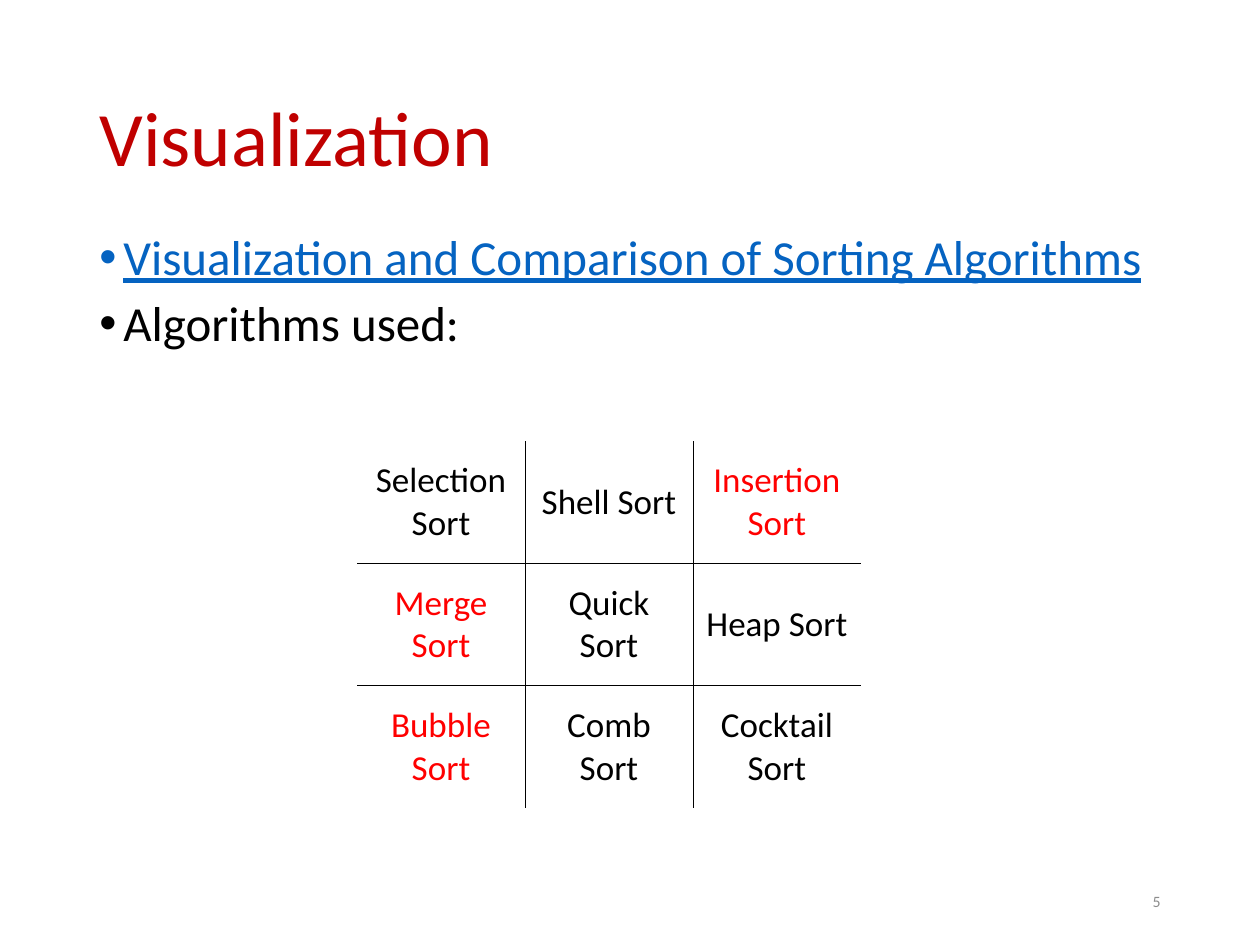
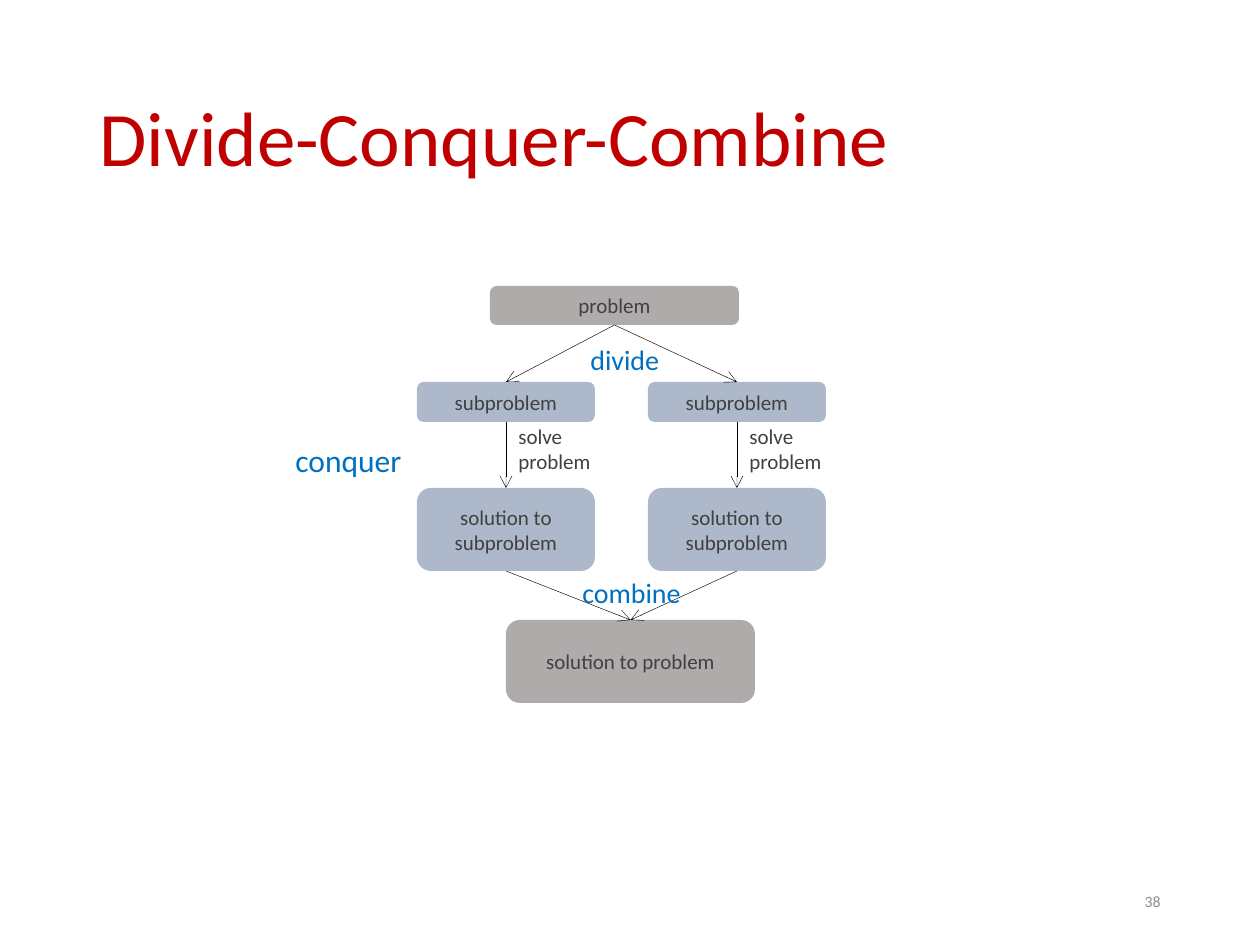
from lxml.etree import SubElement
from pptx import Presentation
from pptx.dml.color import RGBColor
from pptx.enum.shapes import MSO_CONNECTOR, MSO_SHAPE
from pptx.enum.text import MSO_ANCHOR, PP_ALIGN
from pptx.oxml.ns import qn
from pptx.util import Emu, Pt

# Shared look
PX = 914400 / 126
FONT = "Calibri"
BLACK, RED, TITLE_RED = "000000", "FF0000", "C00000"
LINK_BLUE, STEP_BLUE = "0563C1", "0070C0"
PROBLEM_GRAY, SUBPROBLEM_BLUE, BOX_TEXT, NUMBER_GRAY = "AFABAB", "ADB9CA", "404040", "8C8C8C"
HAIRLINE = 0.25
TITLE_AREA = (87, 50, 1086, 183)
NUMBER_AREA = (890, 876, 283, 50)
TITLE_FORMAT = dict(size=44, color=TITLE_RED, anchor=MSO_ANCHOR.MIDDLE, line_spacing=0.9)
NUMBER_FORMAT = dict(size=9, color=NUMBER_GRAY, anchor=MSO_ANCHOR.MIDDLE, alignment=PP_ALIGN.RIGHT)
CENTERED = dict(anchor=MSO_ANCHOR.MIDDLE, alignment=PP_ALIGN.CENTER)

# Slide 1: bullets and the table of algorithms
BULLET_AREA = (87, 227, 1142, 368)
BULLETS = [
    ("Visualization and Comparison of Sorting Algorithms", LINK_BLUE, True),
    ("Algorithms used:", BLACK, False),
]
BULLET_INDENT = 24
TABLE_AREA = (357, 441, 504, 367)
ALGORITHMS = [
    ["Selection Sort", "Shell Sort", "Insertion Sort"],
    ["Merge Sort", "Quick Sort", "Heap Sort"],
    ["Bubble Sort", "Comb Sort", "Cocktail Sort"],
]
HIGHLIGHTED = {"Insertion Sort", "Merge Sort", "Bubble Sort"}

# Slide 2: the divide-conquer-combine diagram
BRANCH_LEFTS = [417, 648]
BRANCH_WIDTH = 178
PROBLEM = (["problem"], (490, 286, 249, 39), PROBLEM_GRAY)
SOLUTION = (["solution to problem"], (506, 620, 249, 83), PROBLEM_GRAY)
SUBPROBLEM = (["subproblem"], 382, 40)
SUBSOLUTION = (["solution to", "subproblem"], 488, 83)
SOLVE_LABEL = (["solve", "problem"], 417, 106, 63)
STEPS = [
    ("divide", (578, 336, 95, 47), 16),
    ("combine", (570, 569, 125, 47), 16),
    ("conquer", (283, 435, 133, 50), 18),
]


def px(value):
    return Emu(round(value * PX))


def rgb(hex_color):
    return RGBColor.from_string(hex_color)


def set_all(target, **values):
    for name, value in values.items():
        setattr(target, name, value)


def style_paragraph(paragraph, text, size, color, underline=False, **paragraph_format):
    paragraph.text = text
    set_all(paragraph, **paragraph_format)
    set_all(paragraph.runs[0].font, name=FONT, size=Pt(size), underline=underline)
    paragraph.runs[0].font.color.rgb = rgb(color)


def write(frame, lines, anchor=MSO_ANCHOR.TOP, **text_format):
    set_all(frame, word_wrap=True, vertical_anchor=anchor)
    for index, line in enumerate(lines):
        paragraph = frame.add_paragraph() if index else frame.paragraphs[0]
        style_paragraph(paragraph, line, **text_format)


def add_text(slide, area, lines, **text_format):
    write(slide.shapes.add_textbox(*map(px, area)).text_frame, lines, **text_format)


def add_box(slide, lines, area, fill):
    shape = slide.shapes.add_shape(MSO_SHAPE.ROUNDED_RECTANGLE, *map(px, area))
    shape.shadow.inherit = False
    shape.fill.solid()
    shape.fill.fore_color.rgb = rgb(fill)
    shape.line.fill.background()
    set_all(shape.text_frame, margin_left=0, margin_right=0, margin_top=0, margin_bottom=0)
    write(shape.text_frame, lines, size=12, color=BOX_TEXT, **CENTERED)
    return shape


def add_arrow(slide, upper, lower):
    """Join the bottom of the upper box to the top of the lower one."""
    connector = slide.shapes.add_connector(MSO_CONNECTOR.STRAIGHT, 0, 0, 0, 0)
    connector.begin_connect(upper, 2)
    connector.end_connect(lower, 0)
    connector.line.width = Pt(HAIRLINE)
    connector.line.color.rgb = rgb(BLACK)
    SubElement(connector.line._get_or_add_ln(), qn("a:tailEnd"), type="arrow")
    SubElement(connector._element.spPr, qn("a:effectLst"))


def add_bullet(paragraph):
    properties = paragraph._p.get_or_add_pPr()
    properties.set("marL", str(px(BULLET_INDENT)))
    properties.set("indent", str(-px(BULLET_INDENT)))
    SubElement(properties, qn("a:buFont"), typeface="Arial")
    SubElement(properties, qn("a:buChar"), char="•")


def set_borders(cell, visible):
    """Draw the sides marked visible and clear the others."""
    properties = cell._tc.get_or_add_tcPr()
    for side in "LRTB":
        line = SubElement(properties, qn(f"a:ln{side}"), w=str(Pt(HAIRLINE)))
        if visible[side]:
            fill = SubElement(line, qn("a:solidFill"))
            SubElement(fill, qn("a:srgbClr"), val=BLACK)
        else:
            SubElement(line, qn("a:noFill"))


def add_slide(presentation, title, number):
    slide = presentation.slides.add_slide(presentation.slide_layouts[6])
    add_text(slide, TITLE_AREA, [title], **TITLE_FORMAT)
    add_text(slide, NUMBER_AREA, [str(number)], **NUMBER_FORMAT)
    return slide


def add_algorithm_table(slide):
    row_count, column_count = len(ALGORITHMS), len(ALGORITHMS[0])
    table = slide.shapes.add_table(row_count, column_count, *map(px, TABLE_AREA)).table
    set_all(table, first_row=False, horz_banding=False)
    for row, names in enumerate(ALGORITHMS):
        for column, name in enumerate(names):
            cell = table.cell(row, column)
            set_borders(cell, dict(L=column > 0, R=column < column_count - 1,
                                   T=row > 0, B=row < row_count - 1))
            cell.fill.background()
            cell.vertical_anchor = MSO_ANCHOR.MIDDLE
            style_paragraph(cell.text_frame.paragraphs[0], name, 20,
                            RED if name in HIGHLIGHTED else BLACK, alignment=PP_ALIGN.CENTER)


def build_visualization(presentation):
    slide = add_slide(presentation, "Visualization", 5)
    frame = slide.shapes.add_textbox(*map(px, BULLET_AREA)).text_frame
    frame.word_wrap = True
    for index, (text, color, underline) in enumerate(BULLETS):
        paragraph = frame.add_paragraph() if index else frame.paragraphs[0]
        add_bullet(paragraph)
        style_paragraph(paragraph, text, 28, color, underline, line_spacing=0.9,
                        space_before=Pt(7.5 if index else 0))
    add_algorithm_table(slide)


def build_divide_and_conquer(presentation):
    slide = add_slide(presentation, "Divide-Conquer-Combine", 38)
    problem = add_box(slide, *PROBLEM)
    solution = add_box(slide, *SOLUTION)

    # One branch per subproblem
    for left in BRANCH_LEFTS:
        subproblem, subsolution = [
            add_box(slide, lines, (left, top, BRANCH_WIDTH, height), SUBPROBLEM_BLUE)
            for lines, top, height in (SUBPROBLEM, SUBSOLUTION)
        ]
        chain = [problem, subproblem, subsolution, solution]
        for upper, lower in zip(chain, chain[1:]):
            add_arrow(slide, upper, lower)
        lines, top, width, height = SOLVE_LABEL
        add_text(slide, (left + BRANCH_WIDTH // 2, top, width, height), lines,
                 size=12, color=BOX_TEXT)

    # Names of the three steps
    for name, area, size in STEPS:
        add_text(slide, area, [name], size=size, color=STEP_BLUE)


def main():
    presentation = Presentation()
    set_all(presentation, slide_width=px(1260), slide_height=px(945))
    build_visualization(presentation)
    build_divide_and_conquer(presentation)
    presentation.save("out.pptx")


if __name__ == "__main__":
    main()
